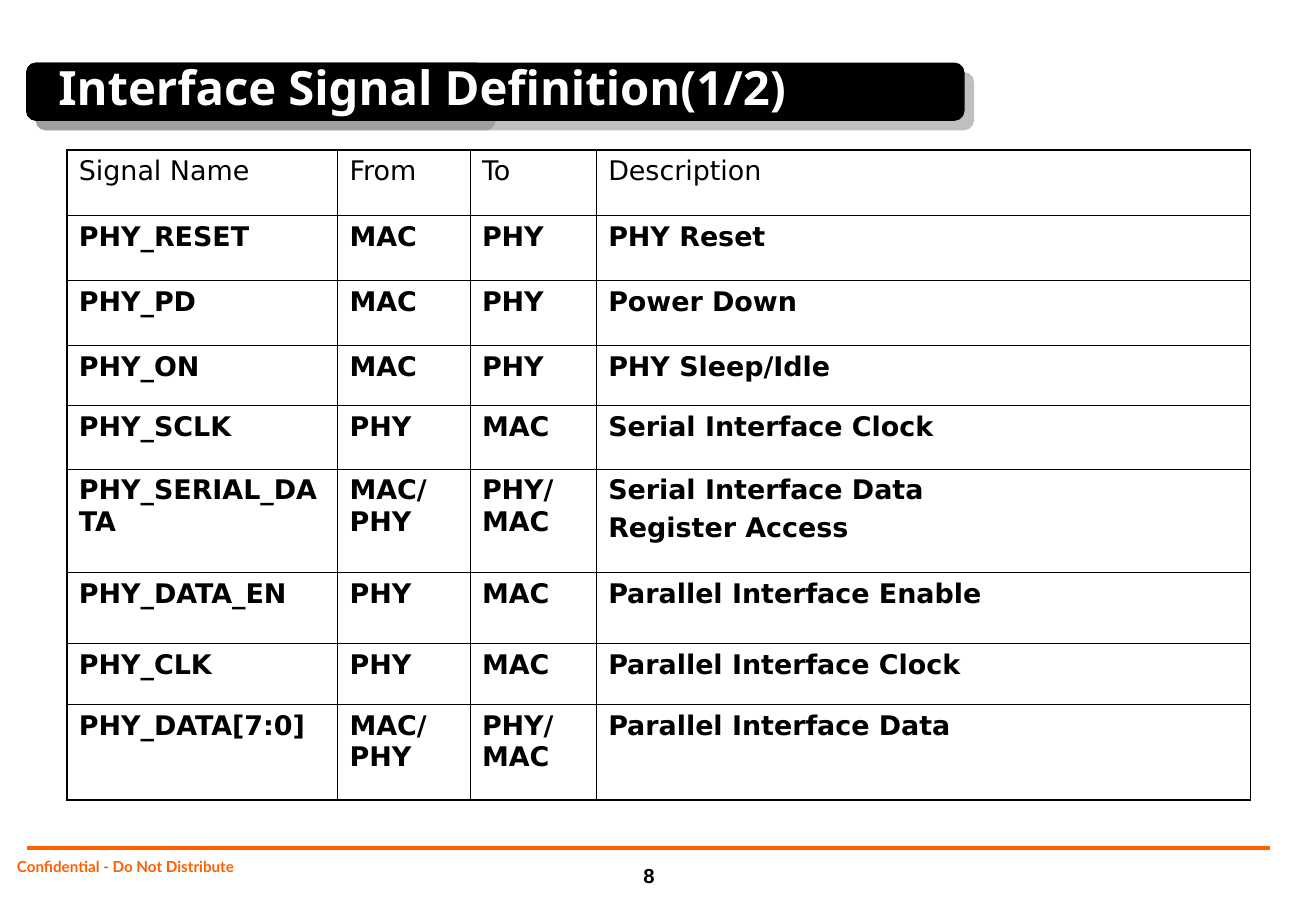
from dataclasses import dataclass

from pptx import Presentation
from pptx.dml.color import RGBColor
from pptx.enum.shapes import MSO_CONNECTOR as Connector, MSO_SHAPE as Shape
from pptx.enum.text import MSO_ANCHOR as Anchor, MSO_AUTO_SIZE as AutoSize, PP_ALIGN as Align
from pptx.oxml import parse_xml
from pptx.oxml.ns import nsdecls
from pptx.util import Pt


@dataclass(frozen=True)
class Theme:
    ink: str = "000000"
    paper: str = "FFFFFF"
    accent: str = "FF5F00"
    shadow: str = "808080"
    title_font: str = "Noto Sans"
    table_font: str = "DejaVu Sans"
    footer_font: str = "Lato"
    number_font: str = "Arial"
    title_size: float = 28
    table_size: float = 16
    number_size: float = 12
    footer_size: float = 9
    outer_border: float = 1.08
    inner_border: float = 0.45


@dataclass(frozen=True)
class Box:
    left: float
    top: float
    width: float
    height: float

    def lengths(self) -> tuple:
        return Pt(self.left), Pt(self.top), Pt(self.width), Pt(self.height)


@dataclass(frozen=True)
class Signal:
    name: str
    source: str
    target: str
    description: str

    def texts(self) -> tuple:
        return self.name, self.source, self.target, self.description


THEME = Theme()
TITLE_BARS = (Box(15.84, 37.44, 272.16, 33.84), Box(15.84, 37.44, 555.84, 33.84))
COLUMN_WIDTHS = (160.6, 78.5, 74.9, 388)
ROW_HEIGHTS = (38.6, 38.6, 38.6, 35.8, 37.6, 61.4, 42.1, 36, 56.7)
SIGNALS = (
    Signal("Signal Name", "From", "To", "Description"),
    Signal("PHY_RESET", "MAC", "PHY", "PHY Reset"),
    Signal("PHY_PD", "MAC", "PHY", "Power Down"),
    Signal("PHY_ON", "MAC", "PHY", "PHY Sleep/Idle"),
    Signal("PHY_SCLK", "PHY", "MAC", "Serial Interface Clock"),
    Signal("PHY_SERIAL_DATA", "MAC/PHY", "PHY/MAC", "Serial Interface Data\nRegister Access"),
    Signal("PHY_DATA_EN", "PHY", "MAC", "Parallel Interface Enable"),
    Signal("PHY_CLK", "PHY", "MAC", "Parallel Interface Clock"),
    Signal("PHY_DATA[7:0]", "MAC/PHY", "PHY/MAC", "Parallel Interface Data"),
)


def write_text(frame, text: str, *, font: str, size: float, color: str = THEME.ink,
               bold: bool = True, align=Align.LEFT, line_spacing: float = 1.0,
               space_before: float = 0) -> None:
    """Write one paragraph per line of text; space_before applies after the first."""
    for index, line in enumerate(text.split("\n")):
        para = frame.add_paragraph() if index else frame.paragraphs[0]
        para.alignment = align
        para.line_spacing = line_spacing
        para.space_before = Pt(space_before if index else 0)
        span = para.add_run()
        span.text = line
        span.font.name = font
        span.font.size = Pt(size)
        span.font.bold = bold
        span.font.color.rgb = RGBColor.from_string(color)


def set_frame(frame, margins: tuple, anchor) -> None:
    frame.word_wrap = True
    frame.auto_size = AutoSize.NONE
    frame.vertical_anchor = anchor
    frame.margin_left, frame.margin_top, frame.margin_right, frame.margin_bottom = map(Pt, margins)


def add_text(page, box: Box, text: str, *, margins: tuple, anchor=Anchor.TOP, **text_format) -> None:
    frame = page.shapes.add_textbox(*box.lengths()).text_frame
    set_frame(frame, margins, anchor)
    write_text(frame, text, **text_format)


def add_title_bar(page, box: Box):
    bar = page.shapes.add_shape(Shape.ROUNDED_RECTANGLE, *box.lengths())
    bar.adjustments[0] = 0.167
    bar.fill.solid()
    bar.fill.fore_color.rgb = RGBColor.from_string(THEME.ink)
    bar.line.color.rgb = RGBColor.from_string(THEME.ink)
    bar.line.width = Pt(0.75)
    bar.element.spPr.append(parse_xml(
        f'<a:effectLst {nsdecls("a")}><a:outerShdw blurRad="0" dist="{Pt(8)}" dir="2700000" '
        f'algn="ctr" rotWithShape="0"><a:srgbClr val="{THEME.shadow}"><a:alpha val="50000"/>'
        '</a:srgbClr></a:outerShdw></a:effectLst>'))
    return bar


def add_rule(page, left: float, right: float, top: float) -> None:
    rule = page.shapes.add_connector(Connector.STRAIGHT, Pt(left), Pt(top), Pt(right), Pt(top))
    rule.line.color.rgb = RGBColor.from_string(THEME.accent)
    rule.line.width = Pt(2)
    rule.element.spPr.append(parse_xml(f'<a:effectLst {nsdecls("a")}/>'))


def set_borders(cell, outer_sides: dict[str, bool]) -> None:
    properties = cell._tc.get_or_add_tcPr()
    for side, is_outer in outer_sides.items():
        width = Pt(THEME.outer_border if is_outer else THEME.inner_border)
        properties.append(parse_xml(
            f'<a:ln{side} {nsdecls("a")} w="{width}"><a:solidFill>'
            f'<a:srgbClr val="{THEME.ink}"/></a:solidFill></a:ln{side}>'))


def add_signal_table(page, left: float, top: float) -> None:
    box = Box(left, top, sum(COLUMN_WIDTHS), sum(ROW_HEIGHTS))
    last_row, last_column = len(ROW_HEIGHTS) - 1, len(COLUMN_WIDTHS) - 1
    table = page.shapes.add_table(last_row + 1, last_column + 1, *box.lengths()).table
    table.first_row = table.horz_banding = False
    for column, width in zip(table.columns, COLUMN_WIDTHS):
        column.width = Pt(width)
    for row, height in zip(table.rows, ROW_HEIGHTS):
        row.height = Pt(height)
    for r, signal in enumerate(SIGNALS):
        for c, text in enumerate(signal.texts()):
            cell = table.cell(r, c)
            cell.margin_left = cell.margin_right = Pt(7.2)
            cell.margin_top = cell.margin_bottom = Pt(3.6)
            cell.vertical_anchor = Anchor.TOP
            set_borders(cell, {"L": c == 0, "R": c == last_column, "T": r == 0, "B": r == last_row})
            cell.fill.background()
            write_text(cell.text_frame, text, font=THEME.table_font, size=THEME.table_size,
                       bold=r > 0, space_before=4)


def main() -> None:
    deck = Presentation()
    deck.slide_width, deck.slide_height = Pt(780.48), Pt(540)
    page = deck.slides.add_slide(deck.slide_layouts[5])
    page.background.fill.solid()
    page.background.fill.fore_color.rgb = RGBColor.from_string(THEME.paper)

    # Footer rule and notice
    add_rule(page, 15.84, 753.12, 502.56)
    add_text(page, Box(6.48, 506.88, 263.52, 19.44), "Confidential - Do Not Distribute",
             margins=(3.6, 0, 3.6, 0), font=THEME.footer_font, size=THEME.footer_size,
             color=THEME.accent, line_spacing=1.1)

    # Title on its bars
    bars = [add_title_bar(page, box) for box in TITLE_BARS]
    title = page.shapes.title
    bars[-1].element.addnext(title.element)
    title.left, title.top, title.width, title.height = Box(27.36, 14.4, 544.32, 74.16).lengths()
    set_frame(title.text_frame, (7.2, 4.32, 7.2, 4.32), Anchor.MIDDLE)
    write_text(title.text_frame, "Interface Signal Definition(1/2)", font=THEME.title_font,
               size=THEME.title_size, color=THEME.paper)

    # Signal table
    add_signal_table(page, 39.6, 88.9)

    # Page number
    add_text(page, Box(373.68, 507.6, 22.32, 22.32), "8", margins=(7.2, 3.6, 7.2, 3.6),
             anchor=Anchor.BOTTOM, font=THEME.number_font, size=THEME.number_size,
             align=Align.CENTER)

    deck.save("out.pptx")


if __name__ == "__main__":
    main()
